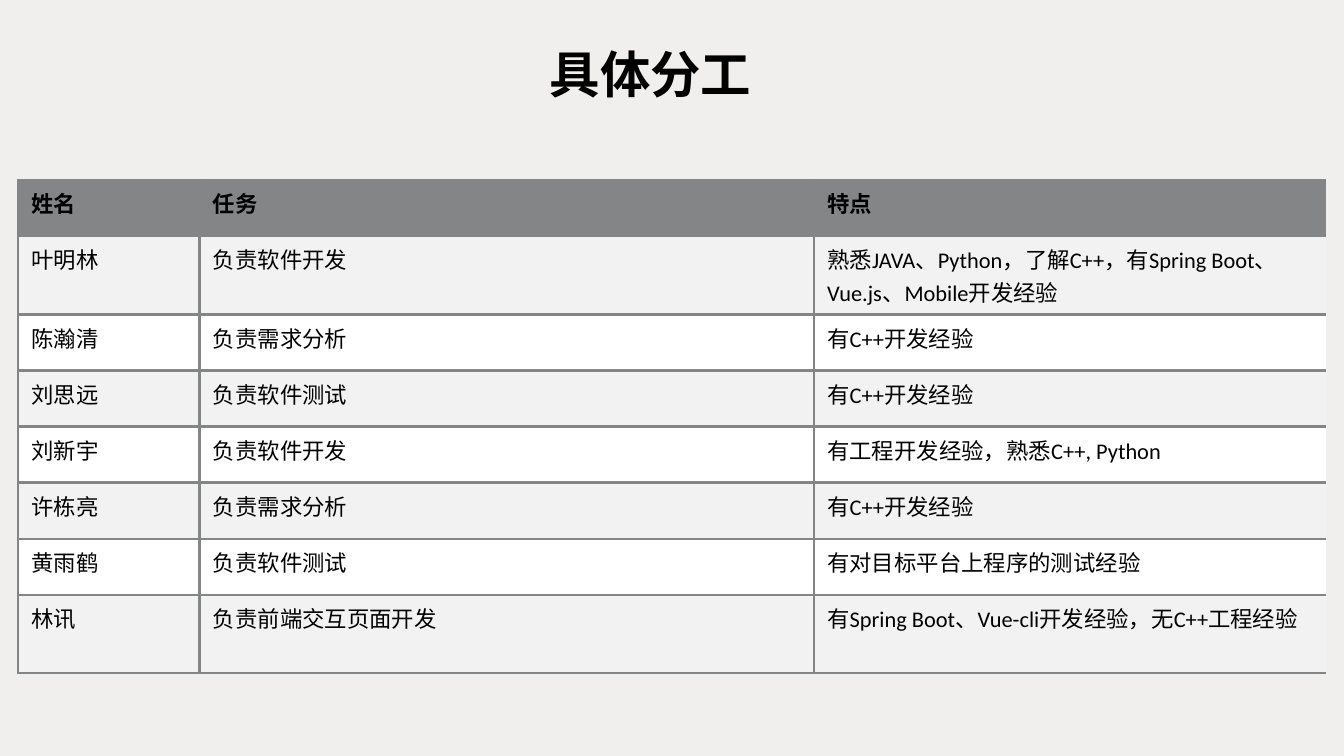
from dataclasses import astuple, dataclass

import lxml.etree
import pptx
import pptx.dml.color
import pptx.enum.text
import pptx.oxml.ns
import pptx.table
import pptx.text.text
import pptx.util
from pptx.util import Cm

qn = pptx.oxml.ns.qn


@dataclass(frozen=True)
class Theme:
    back: str = "F0EFED"
    ink: str = "000000"
    grey: str = "848587"
    odd: str = "F2F2F2"
    even: str = "FFFFFF"
    latin: str = "Calibri"
    asian: str = "Noto Sans CJK SC"
    title: float = 27
    body: float = 12
    line: float = 1.5


@dataclass(frozen=True)
class Member:
    name: str
    task: str
    skill: str


THEME = Theme()
HEAD = Member("姓名", "任务", "特点")
TEAM = [
    Member("叶明林", "负责软件开发",
           "熟悉JAVA、Python，了解C++，有Spring Boot、Vue.js、Mobile开发经验"),
    Member("陈瀚清", "负责需求分析", "有C++开发经验"),
    Member("刘思远", "负责软件测试", "有C++开发经验"),
    Member("刘新宇", "负责软件开发", "有工程开发经验，熟悉C++, Python"),
    Member("许栋亮", "负责需求分析", "有C++开发经验"),
    Member("黄雨鹤", "负责软件测试", "有对目标平台上程序的测试经验"),
    Member("林讯", "负责前端交互页面开发",
           "有Spring Boot、Vue-cli开发经验，无C++工程经验"),
]
WIDTHS = [Cm(3.43), Cm(11.61), Cm(9.68)]
HEIGHT = Cm(1.06)


def rgb(code: str) -> pptx.dml.color.RGBColor:
    return pptx.dml.color.RGBColor.from_string(code)


def style(frame: pptx.text.text.TextFrame, size: float, bold: bool, face: str) -> None:
    for para in frame.paragraphs:
        for run in para.runs:
            font = run.font
            font.size = pptx.util.Pt(size)
            font.bold = bold
            font.name = face
            font.color.rgb = rgb(THEME.ink)
            asian = lxml.etree.Element(qn("a:ea"), typeface=THEME.asian)
            run._r.rPr.find(qn("a:latin")).addnext(asian)


def border(cell: pptx.table._Cell, last: bool) -> None:
    """Rule all sides of the cell, but leave the table's right edge open."""
    props = cell._tc.get_or_add_tcPr()
    for side in ("L", "R", "T", "B"):
        line = lxml.etree.SubElement(props, qn(f"a:ln{side}"),
                                     w=str(pptx.util.Pt(THEME.line)))
        if side == "R" and last:
            lxml.etree.SubElement(line, qn("a:noFill"))
        else:
            fill = lxml.etree.SubElement(line, qn("a:solidFill"))
            lxml.etree.SubElement(fill, qn("a:srgbClr"), val=THEME.grey)


def fill_row(table: pptx.table.Table, index: int, member: Member) -> None:
    head = index == 0
    shade = THEME.grey if head else THEME.odd if index % 2 else THEME.even
    table.rows[index].height = HEIGHT
    for col, text in enumerate(astuple(member)):
        cell = table.cell(index, col)
        border(cell, col == len(WIDTHS) - 1)
        cell.fill.solid()
        cell.fill.fore_color.rgb = rgb(shade)
        cell.text_frame.text = text
        style(cell.text_frame, THEME.body, head, THEME.latin)


def main() -> None:
    deck = pptx.Presentation()
    deck.slide_width, deck.slide_height = Cm(25.4), Cm(14.29)
    slide = deck.slides.add_slide(deck.slide_layouts[5])
    slide.background.fill.solid()
    slide.background.fill.fore_color.rgb = rgb(THEME.back)

    title = slide.shapes.title
    title.left, title.top = Cm(1.35), Cm(0.08)
    title.width, title.height = Cm(21.89), Cm(2.77)
    frame = title.text_frame
    frame.text = "具体分工"
    frame.vertical_anchor = pptx.enum.text.MSO_ANCHOR.MIDDLE
    frame.paragraphs[0].alignment = pptx.enum.text.PP_ALIGN.CENTER
    frame.paragraphs[0].line_spacing = 0.9
    style(frame, THEME.title, True, THEME.asian)

    rows = [HEAD, *TEAM]
    table = slide.shapes.add_table(len(rows), len(WIDTHS), Cm(0.34), Cm(3.4),
                                   sum(WIDTHS), HEIGHT * len(rows)).table
    for column, width in zip(table.columns, WIDTHS):
        column.width = width
    for index, member in enumerate(rows):
        fill_row(table, index, member)

    deck.save("out.pptx")


if __name__ == "__main__":
    main()
